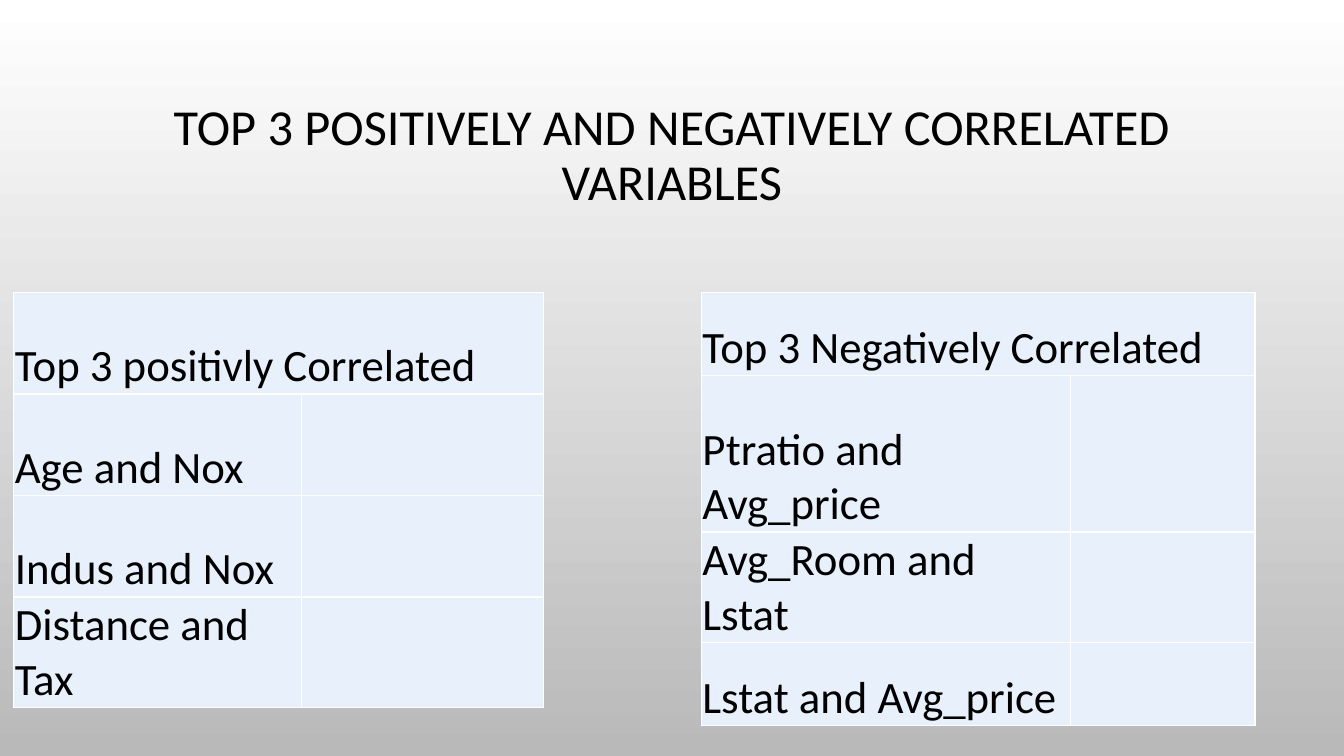
import pptx
import pptx.util
import pptx.dml.color
import pptx.enum.text
import pptx.oxml

Pt = pptx.util.Pt
Anchor = pptx.enum.text.MSO_ANCHOR
NS = "http://schemas.openxmlformats.org/drawingml/2006/main"


def tint(color, code):
    color.rgb = pptx.dml.color.RGBColor.from_string(code)


def write(frame, text, size):
    frame.text = text
    font = frame.paragraphs[0].runs[0].font
    for key, value in {"name": "Calibri", "size": Pt(size)}.items():
        setattr(font, key, value)
    tint(font.color, "000000")


deck = pptx.Presentation()
deck.slide_width, deck.slide_height = Pt(960), Pt(540)
slide = deck.slides.add_slide(deck.slide_layouts[5])

back = slide.background.fill
back.gradient()
back.gradient_angle = 270
for stop, code in zip(back.gradient_stops, ["FFFFFF", "B9B9B9"]):
    tint(stop.color, code)

title = slide.shapes.title
place = {"left": 72, "top": 49, "width": 816, "height": 126}
for key, value in place.items():
    setattr(title, key, Pt(value))
write(title.text_frame, "TOP 3 POSITIVELY AND NEGATIVELY CORRELATED VARIABLES", 36)
title.text_frame.word_wrap = True
title.text_frame.vertical_anchor = Anchor.MIDDLE
head = title.text_frame.paragraphs[0]
head.alignment = pptx.enum.text.PP_ALIGN.CENTER
head.line_spacing = 0.9

tables = [
    (9.8, [205.6, 172.8], [72.5, 72.5, 72.5, 72.5],
     ["Top 3 positivly Correlated", "Age and Nox", "Indus and Nox", "Distance and Tax"]),
    (501, [263.6, 131.8], [59.5, 111.5, 59.5, 59.5],
     ["Top 3 Negatively Correlated", "Ptratio and Avg_price",
      "Avg_Room and Lstat", "Lstat and Avg_price"]),
]
inset = {"margin_left": Pt(0.75), "margin_right": Pt(0.75),
         "margin_top": Pt(0.75), "margin_bottom": 0,
         "vertical_anchor": Anchor.BOTTOM}

for left, widths, heights, labels in tables:
    grid = slide.shapes.add_table(
        len(labels), len(widths), Pt(left), Pt(209), Pt(sum(widths)), Pt(sum(heights))
    ).table
    grid.first_row = grid.horz_banding = False
    for col, width in zip(grid.columns, widths):
        col.width = Pt(width)
    for row, height, label in zip(grid.rows, heights, labels):
        row.height = Pt(height)
        for cell in row.cells:
            for key, value in inset.items():
                setattr(cell, key, value)
            cell.fill.solid()
            tint(cell.fill.fore_color, "E8F0FC")
            props = cell._tc.get_or_add_tcPr()
            for spot, side in enumerate("LRTB"):
                props.insert(spot, pptx.oxml.parse_xml(
                    f'<a:ln{side} xmlns:a="{NS}" w="12700"><a:solidFill>'
                    f'<a:srgbClr val="FFFFFF"/></a:solidFill></a:ln{side}>'))
        write(row.cells[0].text_frame, label, 32)
    grid.cell(0, 0).merge(grid.cell(0, 1))

deck.save("out.pptx")
